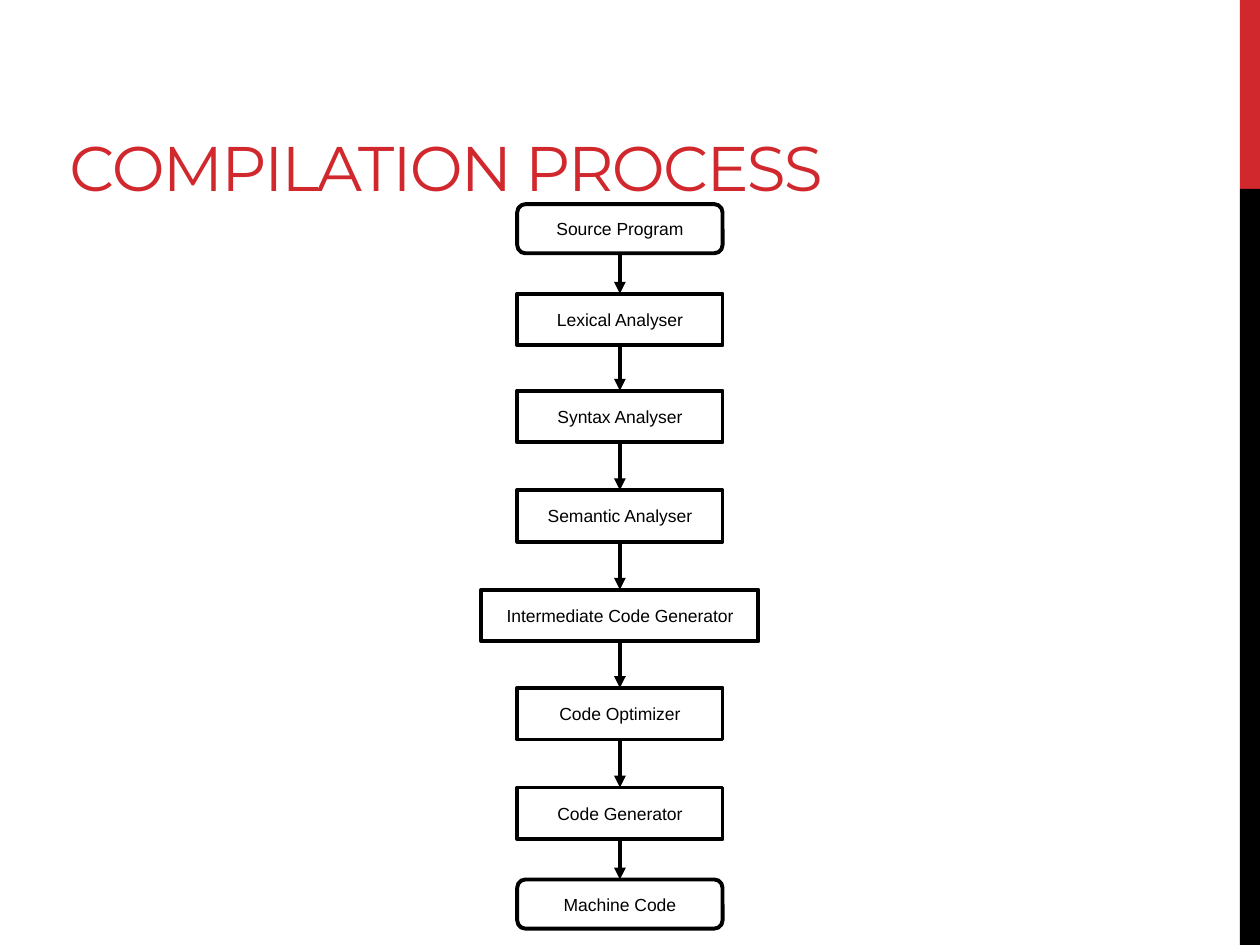
"""Build a slide showing the compilation process as a vertical flowchart."""
from dataclasses import dataclass
from itertools import pairwise

from pptx import Presentation
from pptx.dml.color import RGBColor
from pptx.enum.shapes import MSO_CONNECTOR, MSO_SHAPE
from pptx.enum.text import MSO_ANCHOR, MSO_AUTO_SIZE, PP_ALIGN
from pptx.oxml.ns import qn
from pptx.shapes.autoshape import Shape
from pptx.slide import Slide
from pptx.text.text import TextFrame
from pptx.util import Inches, Pt

RED = RGBColor(0xD1, 0x28, 0x2E)
BLACK = RGBColor(0, 0, 0)
CENTER = 4.92
TOP_SITE, BOTTOM_SITE = 0, 2


@dataclass(frozen=True)
class Stage:
    label: str
    top: float
    width: float = 1.63
    height: float = 0.41
    outline: MSO_SHAPE = MSO_SHAPE.RECTANGLE


@dataclass(frozen=True)
class Band:
    top: float
    height: float
    color: RGBColor


STAGES = (
    Stage("Source Program", 1.62, height=0.39, outline=MSO_SHAPE.ROUNDED_RECTANGLE),
    Stage("Lexical Analyser", 2.33),
    Stage("Syntax Analyser", 3.1),
    Stage("Semantic Analyser", 3.89),
    Stage("Intermediate Code Generator", 4.68, width=2.2),
    Stage("Code Optimizer", 5.46),
    Stage("Code Generator", 6.25),
    Stage("Machine Code", 6.98, height=0.39, outline=MSO_SHAPE.ROUNDED_RECTANGLE),
)
BANDS = (Band(0, 1.5, RED), Band(1.5, 6, BLACK))


def set_margins(frame: TextFrame) -> None:
    frame.margin_left = frame.margin_right = Inches(0.05)
    frame.margin_top = frame.margin_bottom = Inches(0.05)


def draw_band(slide: Slide, band: Band) -> None:
    stripe = slide.shapes.add_shape(
        MSO_SHAPE.RECTANGLE, Inches(9.84), Inches(band.top), Inches(0.16), Inches(band.height)
    )
    stripe.shadow.inherit = False
    stripe.fill.solid()
    stripe.fill.fore_color.rgb = band.color
    stripe.line.fill.background()


def write_title(slide: Slide, wording: str) -> None:
    title = slide.shapes.title
    title.left, title.top = Inches(0.5), Inches(0.17)
    title.width, title.height = Inches(7.58), Inches(1.5)
    frame = title.text_frame
    frame.auto_size = MSO_AUTO_SIZE.NONE
    frame.vertical_anchor = MSO_ANCHOR.BOTTOM
    set_margins(frame)
    paragraph = frame.paragraphs[0]
    paragraph.alignment = PP_ALIGN.LEFT
    run = paragraph.add_run()
    run.text = wording
    run.font.name = "Montserrat"
    run.font.size = Pt(36)
    run.font.color.rgb = RED
    run.font._element.set("spc", "-100")


def draw_stage(slide: Slide, stage: Stage) -> Shape:
    box = slide.shapes.add_shape(
        stage.outline,
        Inches(CENTER - stage.width / 2),
        Inches(stage.top),
        Inches(stage.width),
        Inches(stage.height),
    )
    box.shadow.inherit = False
    box.fill.background()
    box.line.color.rgb = BLACK
    box.line.width = Pt(2.25)
    frame = box.text_frame
    frame.word_wrap = True
    frame.vertical_anchor = MSO_ANCHOR.MIDDLE
    set_margins(frame)
    paragraph = frame.paragraphs[0]
    paragraph.alignment = PP_ALIGN.CENTER
    run = paragraph.add_run()
    run.text = stage.label
    run.font.name = "Arial"
    run.font.size = Pt(10)
    run.font.color.rgb = BLACK
    return box


def draw_arrow(slide: Slide, upper: Shape, lower: Shape) -> None:
    arrow = slide.shapes.add_connector(MSO_CONNECTOR.STRAIGHT, 0, 0, 0, 0)
    arrow.begin_connect(upper, BOTTOM_SITE)
    arrow.end_connect(lower, TOP_SITE)
    arrow.line.color.rgb = BLACK
    arrow.line.width = Pt(2.25)
    properties = arrow._element.spPr
    stroke = properties.find(qn("a:ln"))
    stroke.append(stroke.makeelement(qn("a:tailEnd"), {"type": "triangle"}))
    properties.append(properties.makeelement(qn("a:effectLst"), {}))


def main() -> None:
    presentation = Presentation()
    presentation.slide_width, presentation.slide_height = Inches(10), Inches(7.5)
    slide = presentation.slides.add_slide(presentation.slide_layouts.get_by_name("Title Only"))
    for band in BANDS:
        draw_band(slide, band)
    write_title(slide, "COMPILATION PROCESS")
    boxes = [draw_stage(slide, stage) for stage in STAGES]
    for upper, lower in pairwise(boxes):
        draw_arrow(slide, upper, lower)
    presentation.save("out.pptx")


if __name__ == "__main__":
    main()
